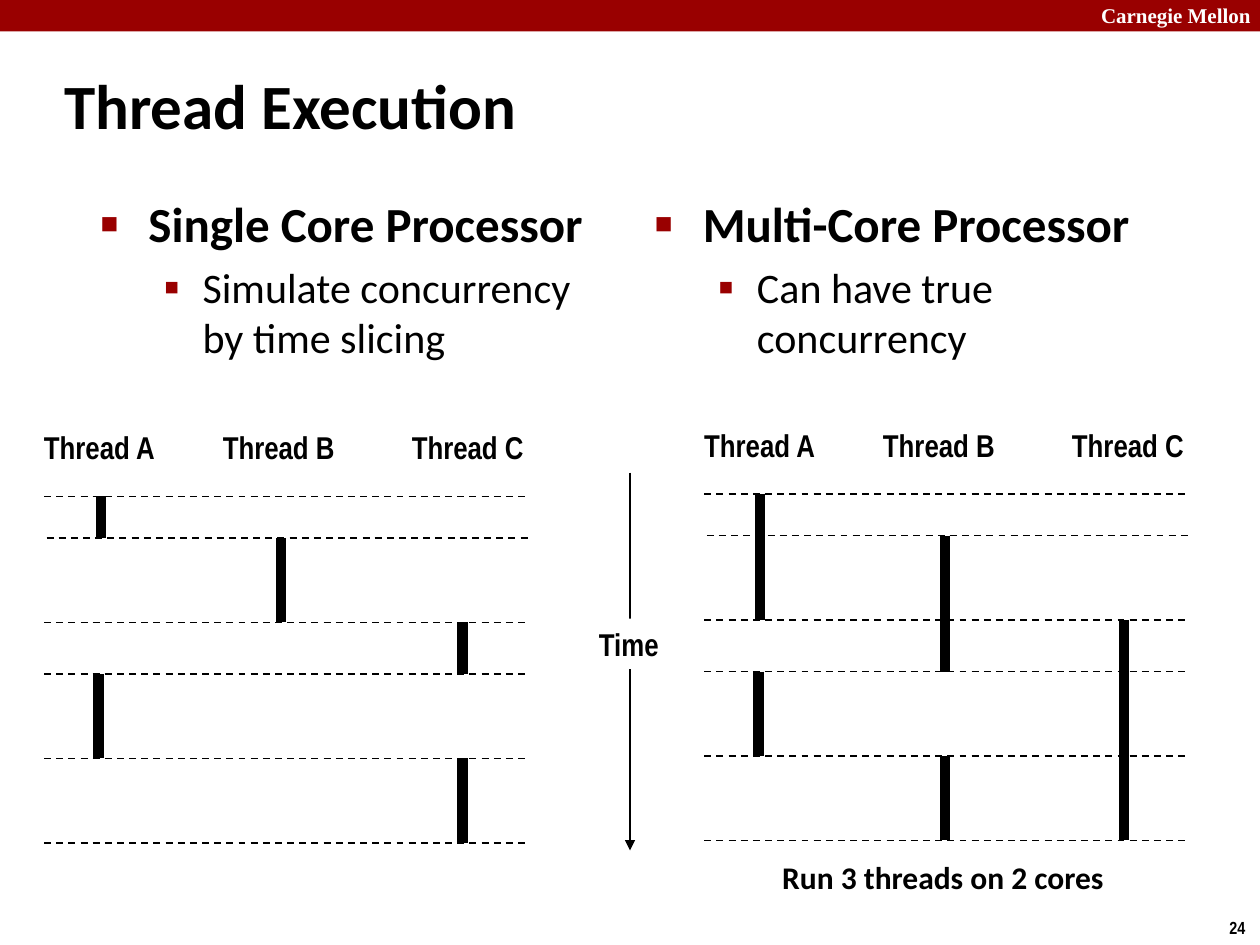
"""Build the slide comparing thread execution on single-core and multi-core processors."""
from dataclasses import dataclass
from typing import NamedTuple

from lxml.etree import SubElement
from pptx import Presentation
from pptx.dml.color import RGBColor
from pptx.enum.dml import MSO_LINE_DASH_STYLE as Dash
from pptx.enum.shapes import MSO_CONNECTOR as Connector, MSO_SHAPE as Shape
from pptx.enum.text import MSO_ANCHOR as Anchor, PP_ALIGN as Align
from pptx.oxml.ns import qn
from pptx.util import Inches, Pt

COLORS = {"red": "990000", "black": "000000", "white": "FFFFFF"}
ROW_OFFSETS = (0, 0.33, 1.0, 1.41, 2.08, 2.75)
DASH_WIDTH = 3.82
THREADS = (("Thread A", -0.1, 1.09), ("Thread B", 1.32, 1.1), ("Thread C", 2.82, 1.1))


class Box(NamedTuple):
    left: float
    top: float
    width: float
    height: float

    def inches(self) -> list:
        return [Inches(length) for length in self]


class Style(NamedTuple):
    face: str
    size: int
    color: str = "black"
    bold: bool = True


class Run(NamedTuple):
    offset: float
    start_row: int
    end_row: int


class Bullet(NamedTuple):
    char: str
    percent: int
    indent: float
    hanging: float
    style: Style


@dataclass
class Timeline:
    left: float
    top: float
    runs: tuple[Run, ...]


@dataclass
class Processor:
    left: float
    heading: str
    detail: str


LABEL = Style("Arial Narrow", 18)
BULLETS = (
    Bullet("■", 60, 0.38, 0.38, Style("Calibri", 28)),
    Bullet("▪", 110, 0.81, 0.31, Style("Calibri", 24, bold=False)),
)
PROCESSORS = (
    Processor(0.7, "Single Core Processor", "Simulate concurrency by time slicing"),
    Processor(5.1, "Multi-Core Processor", "Can have true concurrency"),
)
TIMELINES = (
    Timeline(0.35, 3.94, (Run(0.45, 0, 1), Run(1.88, 1, 2), Run(3.32, 2, 3),
                          Run(0.43, 3, 4), Run(3.32, 4, 5))),
    Timeline(5.59, 3.92, (Run(0.44, 0, 2), Run(1.91, 1, 3), Run(3.33, 2, 5),
                          Run(0.43, 3, 4), Run(1.91, 4, 5))),
)


def rgb(name: str) -> RGBColor:
    return RGBColor.from_string(COLORS[name])


def set_font(paragraph, style: Style) -> None:
    font = paragraph.font
    font.name, font.size, font.bold = style.face, Pt(style.size), style.bold
    font.color.rgb = rgb(style.color)


def add_label(slide, text: str, box: Box, style: Style, wrap: bool = False):
    label = slide.shapes.add_textbox(*box.inches())
    label.text_frame.word_wrap = wrap
    paragraph = label.text_frame.paragraphs[0]
    paragraph.text = text
    set_font(paragraph, style)
    return label


def add_line(slide, start: tuple, end: tuple, width: float, dashed: bool = False):
    line = slide.shapes.add_connector(
        Connector.STRAIGHT, *[Inches(length) for length in (*start, *end)])
    line.line.color.rgb = rgb("black")
    line.line.width = Pt(width)
    if dashed:
        line.line.dash_style = Dash.DASH
    SubElement(line._element.spPr, qn("a:effectLst"))
    return line


def add_bullet(paragraph, text: str, bullet: Bullet) -> None:
    paragraph.text = text
    props = paragraph._p.get_or_add_pPr()
    props.set("marL", str(Inches(bullet.indent)))
    props.set("indent", str(-Inches(bullet.hanging)))
    color = SubElement(props, qn("a:buClr"))
    SubElement(color, qn("a:srgbClr"), val=COLORS["red"])
    SubElement(props, qn("a:buSzPct"), val=str(bullet.percent * 1000))
    SubElement(props, qn("a:buFont"), typeface="Arial")
    SubElement(props, qn("a:buChar"), char=bullet.char)
    set_font(paragraph, bullet.style)


def add_processor(slide, processor: Processor) -> None:
    body = slide.shapes.add_textbox(*Box(processor.left, 1.49, 4.23, 5.44).inches())
    frame = body.text_frame
    frame.word_wrap = True
    heading, detail = frame.paragraphs[0], frame.add_paragraph()
    detail.level = 1
    detail.space_before = Pt(5)
    add_bullet(heading, processor.heading, BULLETS[0])
    add_bullet(detail, processor.detail, BULLETS[1])


def add_timeline(slide, timeline: Timeline) -> None:
    rows = [timeline.top + offset for offset in ROW_OFFSETS]
    for name, offset, width in THREADS:
        add_label(slide, name, Box(timeline.left + offset, timeline.top - 0.59, width, 0.4), LABEL)
    for run in timeline.runs:
        x = timeline.left + run.offset
        add_line(slide, (x, rows[run.start_row]), (x, rows[run.end_row]), 6)
    for index, y in enumerate(rows):
        left = timeline.left + (0.02 if index == 1 else 0)
        add_line(slide, (left, y), (left + DASH_WIDTH, y), 1, dashed=True)


def add_header(slide) -> None:
    band = slide.shapes.add_shape(Shape.RECTANGLE, *Box(0, 0, 10, 0.25).inches())
    band.shadow.inherit = False
    band.fill.solid()
    band.fill.fore_color.rgb = rgb("red")
    band.line.fill.background()
    add_label(slide, "Carnegie Mellon", Box(8.64, -0.03, 1.43, 0.3),
              Style("Times New Roman", 12, "white"), wrap=True)


def format_title(slide) -> None:
    title = slide.shapes.title
    title.left, title.top, title.width, title.height = Box(0.41, 0.41, 8.3, 0.83).inches()
    title.text_frame.vertical_anchor = Anchor.MIDDLE
    paragraph = title.text_frame.paragraphs[0]
    paragraph.text = "Thread Execution"
    paragraph.alignment = Align.LEFT
    set_font(paragraph, Style("Calibri", 36))


def add_time_axis(slide) -> None:
    axis = add_line(slide, (5, 3.75), (5, 6.75), 1)
    SubElement(axis.line._get_or_add_ln(), qn("a:tailEnd"), type="triangle")
    time = add_label(slide, "Time", Box(4.65, 4.91, 0.68, 0.4), LABEL)
    time.text_frame.paragraphs[0].alignment = Align.CENTER
    time.fill.solid()
    time.fill.fore_color.rgb = rgb("white")


def main() -> None:
    deck = Presentation()
    deck.slide_width, deck.slide_height = Inches(10), Inches(7.5)
    slide = deck.slides.add_slide(deck.slide_layouts[5])
    add_header(slide)
    add_label(slide, "24", Box(9.66, 7.23, 0.34, 0.27), Style("Arial Narrow", 10))
    format_title(slide)
    for processor in PROCESSORS:
        add_processor(slide, processor)
    add_time_axis(slide)
    for timeline in TIMELINES:
        add_timeline(slide, timeline)
    add_label(slide, "Run 3 threads on 2 cores", Box(6.11, 6.76, 2.78, 0.4), Style("Calibri", 18))
    deck.save("out.pptx")


if __name__ == "__main__":
    main()
